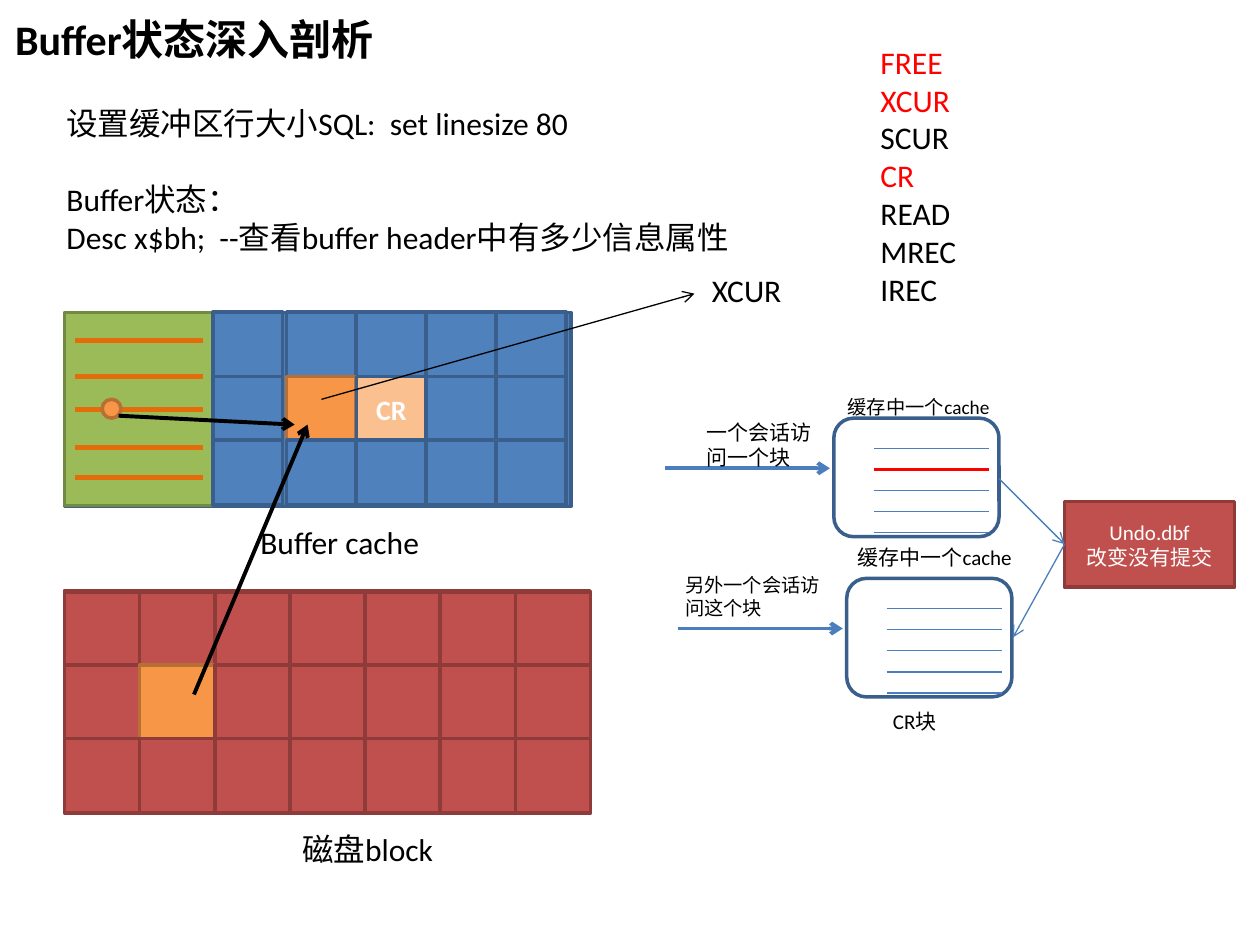
from dataclasses import dataclass

from lxml import etree
from pptx import Presentation
from pptx.dml.color import RGBColor
from pptx.enum.shapes import MSO_CONNECTOR, MSO_SHAPE
from pptx.enum.text import MSO_ANCHOR, MSO_AUTO_SIZE, PP_ALIGN
from pptx.oxml.ns import qn
from pptx.util import Cm, Pt

RECT = MSO_SHAPE.RECTANGLE
ROUNDED = MSO_SHAPE.ROUNDED_RECTANGLE
OVAL = MSO_SHAPE.OVAL
STRAIGHT = MSO_CONNECTOR.STRAIGHT
LEFT, CENTER = PP_ALIGN.LEFT, PP_ALIGN.CENTER
TOP, MIDDLE = MSO_ANCHOR.TOP, MSO_ANCHOR.MIDDLE
NO_FIT, GROW = MSO_AUTO_SIZE.NONE, MSO_AUTO_SIZE.SHAPE_TO_FIT_TEXT


@dataclass(frozen=True)
class Theme:
    font: str = "Calibri"
    black: str = "000000"
    white: str = "FFFFFF"
    alert: str = "FF0000"
    blue: tuple = ("4F81BD", "3A5F8C")
    green: tuple = ("9BBB59", "738A42")
    red: tuple = ("C0504D", "8E3B39")
    orange: tuple = ("F79646", "B76F34")
    peach: tuple = ("FAC090", "3A5F8C")
    hollow: tuple = (None, "3A5F8C")
    header_line: str = "E46C0A"
    flow_line: str = "4B7EBC"
    title: float = 24
    body: float = 18
    cell: float = 16
    label: float = 12
    small: float = 11
    border: float = 2
    thin: float = 0.75
    thick: float = 2.25


THEME = Theme()


def write_text(shape, lines, size=THEME.body, color=THEME.black, bold=False,
               align=LEFT, anchor=TOP, wrap=True, fit=NO_FIT, alerts=()):
    """Fill a shape with one paragraph per line; lines in alerts turn red."""
    frame = shape.text_frame
    frame.word_wrap = wrap
    frame.auto_size = fit
    frame.vertical_anchor = anchor
    for index, line in enumerate(lines):
        para = frame.add_paragraph() if index else frame.paragraphs[0]
        para.alignment = align
        span = para.add_run()
        span.text = line
        span.font.name = THEME.font
        span.font.size = Pt(size)
        span.font.bold = bold
        shade = THEME.alert if line in alerts else color
        span.font.color.rgb = RGBColor.from_string(shade)
    return frame


def add_label(page, left, top, width, height, *lines, **text_format):
    box = page.shapes.add_textbox(Cm(left), Cm(top), Cm(width), Cm(height))
    return write_text(box, lines, fit=GROW, **text_format)


def add_block(page, left, top, width, height, colors, kind=RECT):
    fill, border = colors
    block = page.shapes.add_shape(kind, Cm(left), Cm(top), Cm(width), Cm(height))
    block.shadow.inherit = False
    if fill:
        block.fill.solid()
        block.fill.fore_color.rgb = RGBColor.from_string(fill)
    else:
        block.fill.background()
    block.line.color.rgb = RGBColor.from_string(border)
    block.line.width = Pt(THEME.border)
    return block


def add_line(page, start, end, color, width, arrow=False):
    line = page.shapes.add_connector(
        STRAIGHT, *(Cm(value) for value in (*start, *end)))
    line.line.color.rgb = RGBColor.from_string(color)
    line.line.width = Pt(width)
    if arrow:
        outline = line.line._get_or_add_ln()
        etree.SubElement(outline, qn("a:tailEnd"), type="arrow")
    etree.SubElement(line._element.spPr, qn("a:effectLst"))


def add_cells(page, lefts, tops, width, height, colors, special):
    """Draw a grid of blocks; special maps (row, column) to other colours."""
    return {
        (row, column): add_block(page, left, top, width, height,
                                 special.get((row, column), colors))
        for row, top in enumerate(tops)
        for column, left in enumerate(lefts)
    }


def add_buffer_cache(page):
    add_block(page, 1.3, 6.3, 10.21, 3.91, THEME.blue)
    add_block(page, 1.3, 6.3, 3, 3.89, THEME.green)
    cells = add_cells(page, (4.3, 5.78, 7.19, 8.6, 10.01), (6.29, 7.59, 8.87),
                      1.4, 1.31, THEME.blue,
                      {(1, 1): THEME.orange, (1, 2): THEME.peach})
    write_text(cells[1, 2], ["CR"], size=THEME.cell, color=THEME.white,
               bold=True, align=CENTER, anchor=MIDDLE)
    for y in (6.86, 7.59, 8.26, 9.02, 9.63):
        add_line(page, (1.51, y), (4.1, y), THEME.header_line, 3)
    add_label(page, 5, 10.41, 3.86, 1.02, "Buffer cache")


def add_disk(page):
    add_block(page, 1.3, 11.91, 10.59, 4.17, THEME.red)
    # The last row of cells reaches below the backing block.
    add_cells(page, [1.3 + 1.515 * column for column in range(7)],
              [11.93 + 1.48 * row for row in range(3)],
              1.52, 1.5, THEME.red, {(1, 1): THEME.orange})
    add_label(page, 5.84, 16.61, 4.55, 1.02, "磁盘block")


def add_cache_block(page, left, top, changed_row=None):
    """Draw one cached block with its rows and the session arrow into it."""
    add_block(page, left, top, 3.33, 2.39, THEME.hollow, ROUNDED)
    for row in range(5):
        y = top + 0.61 + 0.425 * row
        changed = row == changed_row
        add_line(page, (left + 0.81, y), (left + 3.12, y),
                 THEME.alert if changed else THEME.flow_line,
                 THEME.thick if changed else THEME.thin)
    y = top + 1.01
    add_line(page, (left - 3.41, y), (left - 0.08, y),
             THEME.flow_line, THEME.thick, arrow=True)


def add_undo_flow(page):
    add_cache_block(page, 16.81, 8.43, changed_row=1)
    add_label(page, 14, 8.33, 2.74, 1.27, "一个会话访问一个块", size=THEME.label)
    add_label(page, 16.84, 7.85, 4.06, 0.74, "缓存中一个cache", size=THEME.small)
    add_cache_block(page, 17.07, 11.66)
    add_label(page, 13.56, 11.43, 3.33, 1.19, "另外一个会话访问这个块",
              size=THEME.small)
    add_label(page, 17.04, 10.85, 4.06, 0.76, "缓存中一个cache", size=THEME.label)
    undo = add_block(page, 21.46, 10.11, 3.43, 1.73, THEME.red)
    write_text(undo, ["Undo.dbf", "改变没有提交"], size=THEME.label,
               color=THEME.white, align=CENTER, anchor=MIDDLE)
    undo_entry = (21.46, 10.97)
    add_line(page, (20.14, 9.65), undo_entry, THEME.flow_line, THEME.thin, arrow=True)
    add_line(page, undo_entry, (20.42, 12.85), THEME.flow_line, THEME.thin, arrow=True)
    add_label(page, 17.75, 14.15, 3, 0.76, "CR块", size=THEME.label)


def add_pointers(page):
    add_line(page, (3.91, 14), (6.2, 8.56), THEME.black, THEME.thick, arrow=True)
    add_block(page, 2.06, 8.05, 0.38, 0.38, THEME.orange, OVAL)
    add_line(page, (2.39, 8.38), (5.94, 8.56), THEME.black, THEME.thick, arrow=True)


def add_states(page):
    add_line(page, (6.48, 8.05), (14, 5.92), THEME.black, THEME.thin, arrow=True)
    add_label(page, 14.1, 5.33, 1.93, 1.02, "XCUR", wrap=False)
    add_label(page, 17.5, 0.74, 3.33, 5.64, "FREE", "XCUR", "SCUR", "CR",
              "READ", "MREC", "IREC", alerts=("FREE", "XCUR", "CR"))


def add_heading(page):
    title = page.shapes.title
    title.left, title.top = Cm(0.05), Cm(0.15)
    title.width, title.height = Cm(14.4), Cm(1.27)
    write_text(title, ["Buffer状态深入剖析"], size=THEME.title, bold=True)
    notes = add_label(page, 1.09, 1.98, 14.81, 3.33,
                      "设置缓冲区行大小SQL:  set linesize 80", "Buffer状态：",
                      "Desc x$bh;  --查看buffer header中有多少信息属性")
    notes.paragraphs[1].space_before = Pt(21.6)


def main():
    deck = Presentation()
    deck.slide_width, deck.slide_height = Cm(25.4), Cm(19.05)
    page = deck.slides.add_slide(deck.slide_layouts.get_by_name("Title Only"))
    add_heading(page)
    add_buffer_cache(page)
    add_disk(page)
    add_pointers(page)
    add_undo_flow(page)
    add_states(page)
    deck.save("out.pptx")


if __name__ == "__main__":
    main()
